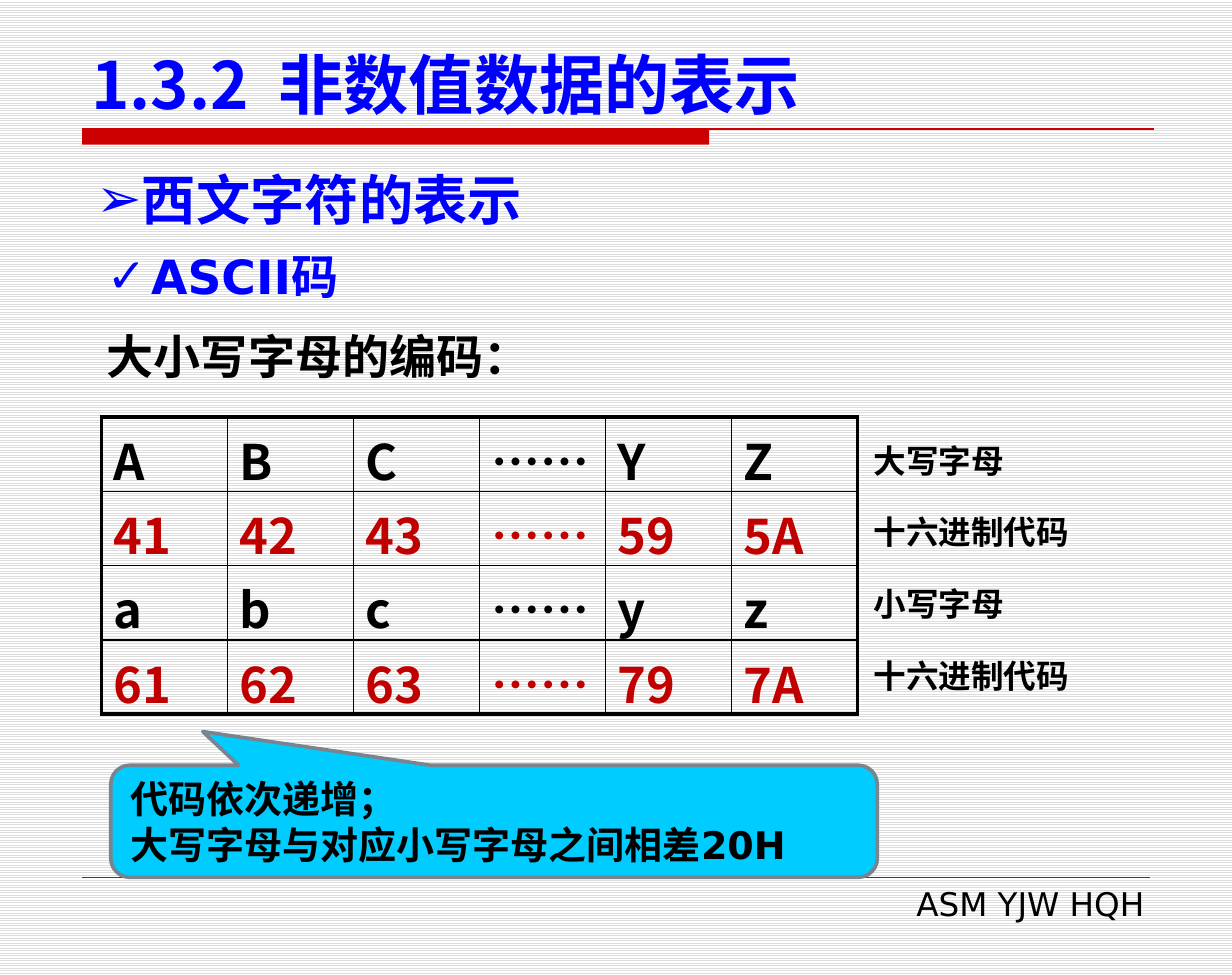
import lxml.etree
import pptx
import pptx.dml.color
import pptx.enum.dml
import pptx.enum.shapes
import pptx.enum.text
import pptx.oxml.ns
import pptx.util

Pt = pptx.util.Pt
Align = pptx.enum.text.PP_ALIGN
Anchor = pptx.enum.text.MSO_ANCHOR
Shape = pptx.enum.shapes.MSO_SHAPE

SANS, CJK = "DejaVu Sans", "Noto Sans CJK SC"
BLACK, BLUE, RED, CODE = "000000", "0000FF", "CC0000", "C00000"
INSETS = {"margin_left": Pt(7.9), "margin_right": Pt(7.9),
          "margin_top": Pt(3.6), "margin_bottom": Pt(3.6)}


def rgb(code):
    return pptx.dml.color.RGBColor.from_string(code)


def put(target, values):
    for name, value in values.items():
        setattr(target, name, value)


def add(parent, tag, **attrs):
    """Append a DrawingML element and return it."""
    return lxml.etree.SubElement(parent, pptx.oxml.ns.qn(tag), attrs)


class Page:
    """One slide; places and sizes are percents of its width and height."""

    def __init__(self, deck):
        self.deck = deck
        self.slide = deck.slides.add_slide(deck.slide_layouts[6])
        self.shapes = self.slide.shapes

    def box(self, left, top, width, height):
        wide, high = self.deck.slide_width, self.deck.slide_height
        return [round(part * side / 100) for part, side in
                zip((left, top, width, height), (wide, high, wide, high))]

    def back(self, front, base):
        fill = self.slide.background.fill
        fill.patterned()
        fill.pattern = pptx.enum.dml.MSO_PATTERN.LIGHT_HORIZONTAL
        fill.fore_color.rgb, fill.back_color.rgb = rgb(front), rgb(base)

    def words(self, para, text, size, color=BLACK, face=SANS, bold=True):
        run = para.add_run()
        run.text = text
        put(run.font, {"size": Pt(size), "bold": bold, "name": face})
        run.font.color.rgb = rgb(color)
        add(run.font._element, "a:ea", typeface=face)

    def bullet(self, para, mark, indent=0):
        props = para._p.get_or_add_pPr()
        props.set("marL", str(Pt(indent)))
        props.set("indent", str(-Pt(indent)))
        add(props, "a:buFont", typeface=SANS)
        add(props, "a:buChar", char=mark)

    def fit(self, shape, anchor):
        """Set insets, wrapping and anchor; return the text frame."""
        frame = shape.text_frame
        put(frame, {**INSETS, "word_wrap": True, "vertical_anchor": anchor})
        return frame

    def text(self, place, text, size, align=Align.LEFT, anchor=Anchor.TOP, **style):
        frame = self.fit(self.shapes.add_textbox(*self.box(*place)), anchor)
        para = frame.paragraphs[0]
        para.alignment = align
        self.words(para, text, size, **style)
        return frame

    def block(self, kind, place, fill, edge=None, weight=0):
        shape = self.shapes.add_shape(kind, *self.box(*place))
        shape.shadow.inherit = False
        shape.fill.solid()
        shape.fill.fore_color.rgb = rgb(fill)
        if edge:
            shape.line.color.rgb = rgb(edge)
            shape.line.width = Pt(weight)
        else:
            shape.line.fill.background()
        return shape

    def rule(self, left, right, top, weight):
        x, y, end, _ = self.box(left, top, right, 0)
        line = self.shapes.add_connector(
            pptx.enum.shapes.MSO_CONNECTOR.STRAIGHT, x, y, end, y)
        line.line.color.rgb = rgb(RED)
        line.line.width = Pt(weight)
        add(line._element.spPr, "a:effectLst")

    def edge(self, cell, side, weight):
        line = add(cell._tc.get_or_add_tcPr(), "a:ln" + side, w=str(Pt(weight)))
        add(add(line, "a:solidFill"), "a:srgbClr", val=BLACK)

    def table(self, place, rows, size):
        """Draw a grid with a heavy frame; every second row holds codes."""
        high, wide = len(rows), len(rows[0])
        table = self.shapes.add_table(high, wide, *self.box(*place)).table
        put(table, {"first_row": False, "horz_banding": False})
        for r, row in enumerate(rows):
            for c, word in enumerate(row):
                cell = table.cell(r, c)
                outer = {"L": c == 0, "R": c == wide - 1,
                         "T": r == 0, "B": r == high - 1}
                for side, heavy in outer.items():
                    self.edge(cell, side, 2.25 if heavy else 1)
                cell.fill.background()
                put(cell, {**INSETS, "margin_left": Pt(6.5), "margin_right": Pt(6.5)})
                self.words(cell.text_frame.paragraphs[0], word, size,
                           CODE if r % 2 else BLACK, CJK)


def main():
    deck = pptx.Presentation()
    put(deck, {"slide_width": pptx.util.Inches(9.45),
               "slide_height": pptx.util.Inches(7.48)})
    page = Page(deck)
    page.back("DDDDDD", "FFFFFF")

    page.block(Shape.RECTANGLE, (6.67, 13.24, 50.9, 1.6), RED)
    page.rule(6.67, 93.65, 13.24, 0.75)
    page.rule(6.67, 93.33, 89.97, 0.25)
    page.text((38.2, 89.97, 55.87, 5.48), "ASM YJW HQH", 18,
              align=Align.RIGHT, bold=False)
    page.text((6.24, 4.41, 87.51, 8.82), "1.3.2  非数值数据的表示", 36,
              anchor=Anchor.BOTTOM, color=BLUE, face=CJK)

    page.table((8.25, 42.78, 61.38, 30.48),
               [row.split() for row in ("A B C …… Y Z", "41 42 43 …… 59 5A",
                                        "a b c …… y z", "61 62 63 …… 79 7A")], 27)

    body = page.text((7.51, 24.73, 89.74, 16.71), "ASCII码", 26, color=BLUE)
    page.bullet(body.paragraphs[0], "✓", 24.5)
    para = body.add_paragraph()
    para.space_before = Pt(13)
    page.words(para, "大小写字母的编码：", 26)

    topic = page.text((6.67, 16.44, 86.67, 8.42), "西文字符的表示", 30,
                      align=Align.JUSTIFY, color=BLUE)
    page.bullet(topic.paragraphs[0], "➢")

    labels = "大写字母", "十六进制代码", "小写字母", "十六进制代码"
    for i, label in enumerate(labels):
        page.text((69.74, 44.52 + 7.35 * i, 26.03, 5.48), label, 18)

    note = page.block(Shape.ROUNDED_RECTANGULAR_CALLOUT, (8.99, 78.48, 62.22, 11.5),
                      "00CCFF", "79848F", 2)
    for i, value in enumerate((-0.38, -0.8, 0.17)):
        note.adjustments[i] = value
    frame = page.fit(note, Anchor.MIDDLE)
    lines = "代码依次递增；", "大写字母与对应小写字母之间相差20H"
    for i, line in enumerate(lines):
        para = frame.add_paragraph() if i else frame.paragraphs[0]
        para.alignment = Align.LEFT
        page.words(para, line, 21)

    deck.save("out.pptx")


if __name__ == "__main__":
    main()
